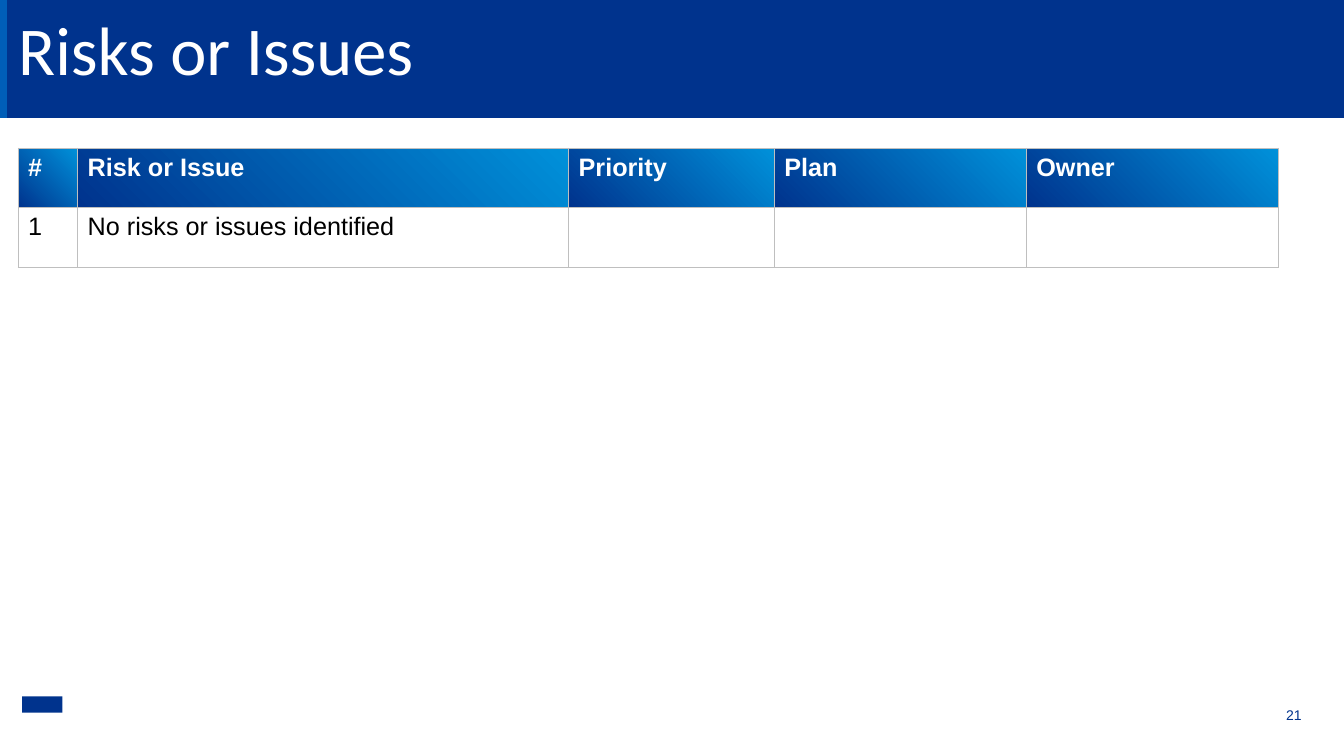
import pptx
import pptx.util
import pptx.dml.color
import pptx.enum.text
import pptx.enum.shapes
import pptx.oxml
import pptx.oxml.ns

THEME = {
    "navy": "00338D", "blue": "005EB8", "sky": "0091DA", "rule": "BFBFBF",
    "white": "FFFFFF", "black": "000000",
    "head_font": "Calibri", "body_font": "Arial",
    "title": 48.9, "cell": 18, "number": 10,
}
Inches = pptx.util.Inches
ALIGN = pptx.enum.text.PP_ALIGN
ANCHOR = pptx.enum.text.MSO_ANCHOR
RECT = pptx.enum.shapes.MSO_SHAPE.RECTANGLE


def rgb(name):
    return pptx.dml.color.RGBColor.from_string(THEME[name])


def write(tf, text, size, color, font="body_font", bold=False,
          align=ALIGN.LEFT, anchor=ANCHOR.TOP, spacing=None, inset=None):
    tf.word_wrap = True
    tf.vertical_anchor = anchor
    if inset is not None:
        tf.margin_left = tf.margin_right = tf.margin_top = tf.margin_bottom = inset
    p = tf.paragraphs[0]
    p.alignment = align
    p.line_spacing = spacing
    r = p.add_run()
    r.text = text
    r.font.name = THEME[font]
    r.font.size = pptx.util.Pt(THEME[size])
    r.font.bold = bold
    r.font.color.rgb = rgb(color)


prs = pptx.Presentation()
prs.slide_width = Inches(13.33)
prs.slide_height = Inches(7.5)
s = prs.slides.add_slide(prs.slide_layouts[6])
W = prs.slide_width
left = Inches(0.18)

for width, color in ((W, "navy"), (Inches(0.07), "blue")):
    sp = s.shapes.add_shape(RECT, 0, Inches(-0.01), width, Inches(1.18))
    sp.shadow.inherit = False
    sp.fill.solid()
    sp.fill.fore_color.rgb = rgb(color)
    sp.line.fill.background()

title = s.shapes.add_textbox(left, Inches(0.29), Inches(8.92), Inches(0.46))
write(title.text_frame, "Risks or Issues", "title", "white", font="head_font",
      spacing=0.7, inset=0)

number = s.shapes.add_textbox(Inches(11.16), Inches(7.02), Inches(1.75), Inches(0.16))
write(number.text_frame, "21", "number", "navy", align=ALIGN.RIGHT,
      anchor=ANCHOR.BOTTOM, inset=0)

rows = [
    ["#", "Risk or Issue", "Priority", "Plan", "Owner"],
    ["1", "No risks or issues identified", "", "", ""],
]
col_widths = [0.59, 4.87, 2.04, 2.5, 2.5]
row_height = Inches(0.59)
table = s.shapes.add_table(len(rows), len(col_widths), left, Inches(1.47),
                           Inches(sum(col_widths)), row_height * len(rows)).table
for column, width in zip(table.columns, col_widths):
    column.width = Inches(width)

for i, row in enumerate(rows):
    table.rows[i].height = row_height
    for j, text in enumerate(row):
        cell = table.cell(i, j)
        tcPr = cell._tc.get_or_add_tcPr()
        for side in ("lnL", "lnR", "lnT", "lnB"):
            tcPr.append(pptx.oxml.parse_xml(
                f'<a:{side} {pptx.oxml.ns.nsdecls("a")} w="6350"><a:solidFill>'
                f'<a:srgbClr val="{THEME["rule"]}"/></a:solidFill></a:{side}>'))
        if i == 0:
            cell.fill.gradient()
            cell.fill.gradient_angle = 45
            for stop, color in zip(cell.fill.gradient_stops, ("navy", "sky")):
                stop.color.rgb = rgb(color)
        else:
            cell.fill.background()
        if text:
            write(cell.text_frame, text, "cell", "black" if i else "white", bold=i == 0)

logo = s.shapes.add_shape(RECT, Inches(0.22), Inches(6.91), Inches(0.4), Inches(0.16))
logo.shadow.inherit = False
logo.fill.solid()
logo.fill.fore_color.rgb = rgb("navy")
logo.line.fill.background()

prs.save("out.pptx")
